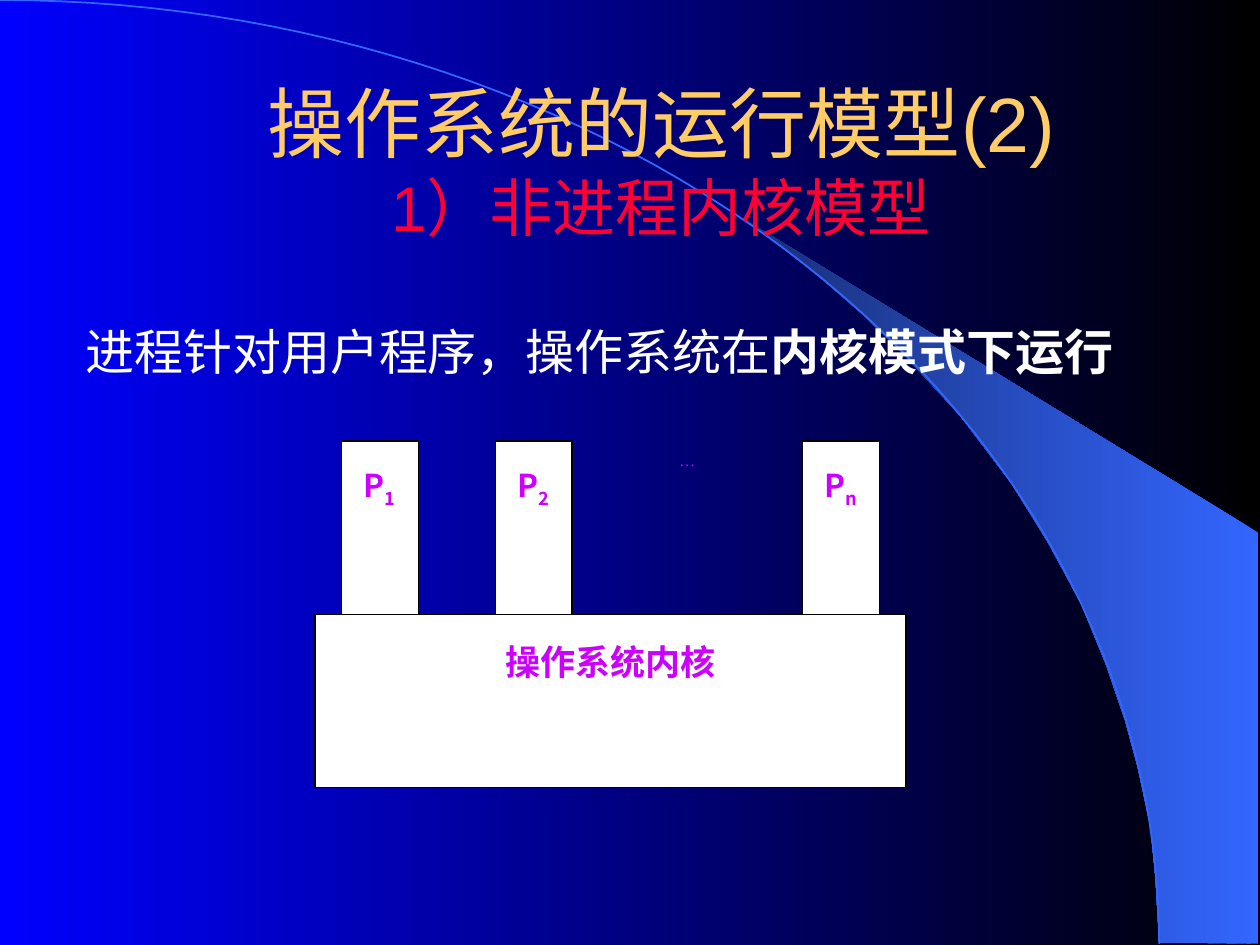
from math import cos, pi, sin

from lxml.etree import SubElement
from pptx import Presentation
from pptx.dml.color import RGBColor
from pptx.enum.shapes import MSO_SHAPE
from pptx.enum.text import MSO_ANCHOR as Anchor, PP_ALIGN as Align
from pptx.oxml.ns import qn
from pptx.util import Inches, Pt

CJK = "Noto Sans CJK SC"
SERIF = "Times New Roman"


def colour(hex_code):
    return RGBColor.from_string(hex_code)


class Deck:
    """Holds the slide and its style."""
    blue, white, black = "3366FF", "FFFFFF", "000000"
    gold, red, violet = "FFCC66", "FF0033", "CC00FF"

    def __init__(self, slide):
        self.slide = slide
        self.shapes = slide.shapes

    def gradient(self, fill, first, last):
        fill.gradient()
        fill.gradient_angle = 180
        for stop, position, shade in zip(fill.gradient_stops, (0, 1), (first, last)):
            stop.position = position
            stop.color.rgb = colour(shade)

    def outline(self, points, close):
        corners = [(Inches(x), Inches(y)) for x, y in points]
        builder = self.shapes.build_freeform(*corners[0])
        builder.add_line_segments(corners[1:], close=close)
        shape = builder.convert_to_shape()
        shape.shadow.inherit = False
        return shape

    def set_text(self, shape, runs, align=Align.CENTER, anchor=Anchor.TOP,
                 top=0.2, bottom=0.2):
        """Each run is (text, size, font, colour, bold, baseline)."""
        frame = shape.text_frame
        frame.word_wrap = True
        frame.vertical_anchor = anchor
        frame.margin_left = frame.margin_right = Inches(0.1)
        frame.margin_top, frame.margin_bottom = Inches(top), Inches(bottom)
        paragraph = frame.paragraphs[0]
        paragraph.alignment = align
        for text, size, face, shade, bold, baseline in runs:
            if text == "\n":
                paragraph.add_line_break()
                continue
            run = paragraph.add_run()
            run.text = text
            font = run.font
            font.size, font.name, font.bold = Pt(size), face, bold
            font.color.rgb = colour(shade)
            properties = run._r.get_or_add_rPr()
            SubElement(properties, qn("a:ea")).set("typeface", CJK)
            if baseline:
                properties.set("baseline", str(baseline * 1000))

    def text(self, box, runs, **layout):
        self.set_text(self.shapes.add_textbox(*map(Inches, box)), runs, **layout)

    def block(self, box, runs):
        shape = self.shapes.add_shape(MSO_SHAPE.RECTANGLE, *map(Inches, box))
        shape.shadow.inherit = False
        shape.fill.solid()
        shape.fill.fore_color.rgb = colour(self.white)
        shape.line.color.rgb = colour(self.black)
        shape.line.width = Pt(0.75)
        self.set_text(shape, runs)


def main():
    prs = Presentation()
    prs.slide_width, prs.slide_height = Inches(10), Inches(7.5)
    deck = Deck(prs.slides.add_slide(prs.slide_layouts[6]))

    # Background with light beam and arc
    deck.gradient(deck.slide.background.fill, deck.black, "0000FF")
    beam = deck.outline([
        (9.2, 7.48), (9.99, 7.49), (9.99, 4.23), (5.89, 1.73), (6.24, 1.99),
        (6.53, 2.22), (6.85, 2.5), (7.16, 2.8), (7.62, 3.3), (8.03, 3.84),
        (8.32, 4.31), (8.58, 4.79), (8.78, 5.28), (8.93, 5.72), (9.03, 6.09),
        (9.13, 6.56), (9.17, 6.96)], close=True)
    deck.gradient(beam.fill, deck.blue, "182F76")
    beam.line.fill.background()

    steps = 60
    angles = [pi / 2 * i / steps for i in range(steps + 1)]
    arc = deck.outline([(9.2 * sin(a), 7.49 * (1 - cos(a))) for a in angles],
                       close=False)
    arc.fill.background()
    arc.line.color.rgb = colour(deck.blue)
    arc.line.width = Pt(1)

    # Title
    deck.text((1, 0.92, 8.5, 1.25), [
        ("操作系统的运行模型(2)", 44, "Arial", deck.gold, False, 0),
        ("\n", 44, "Arial", deck.gold, False, 0),
        ("1）非进程内核模型", 36, "Arial", deck.red, False, 0),
    ], anchor=Anchor.MIDDLE, top=0.05, bottom=0.6)

    # Kernel with the processes above it
    deck.block((2.5, 4.88, 4.69, 1.37),
               [("操作系统内核", 20, CJK, deck.violet, True, 0)])
    for column, index in enumerate(("1", "2", None, "n")):
        place = (2.71 + 1.22 * column, 3.5, 0.61, 1.38)
        if index:
            deck.block(place, [("P", 18, CJK, deck.violet, True, 0),
                               (index, 18, CJK, deck.violet, True, -25)])
        else:
            deck.text(place, [("…", 9, SERIF, deck.violet, False, 0)])

    # Statement
    deck.text((0.58, 2.5, 8.75, 0.57), [
        ("进程针对用户程序，操作系统在", 28, SERIF, deck.white, False, 0),
        ("内核模式下运行", 28, CJK, deck.white, True, 0),
    ], align=Align.LEFT, top=0.05, bottom=0.05)

    prs.save("out.pptx")


if __name__ == "__main__":
    main()
